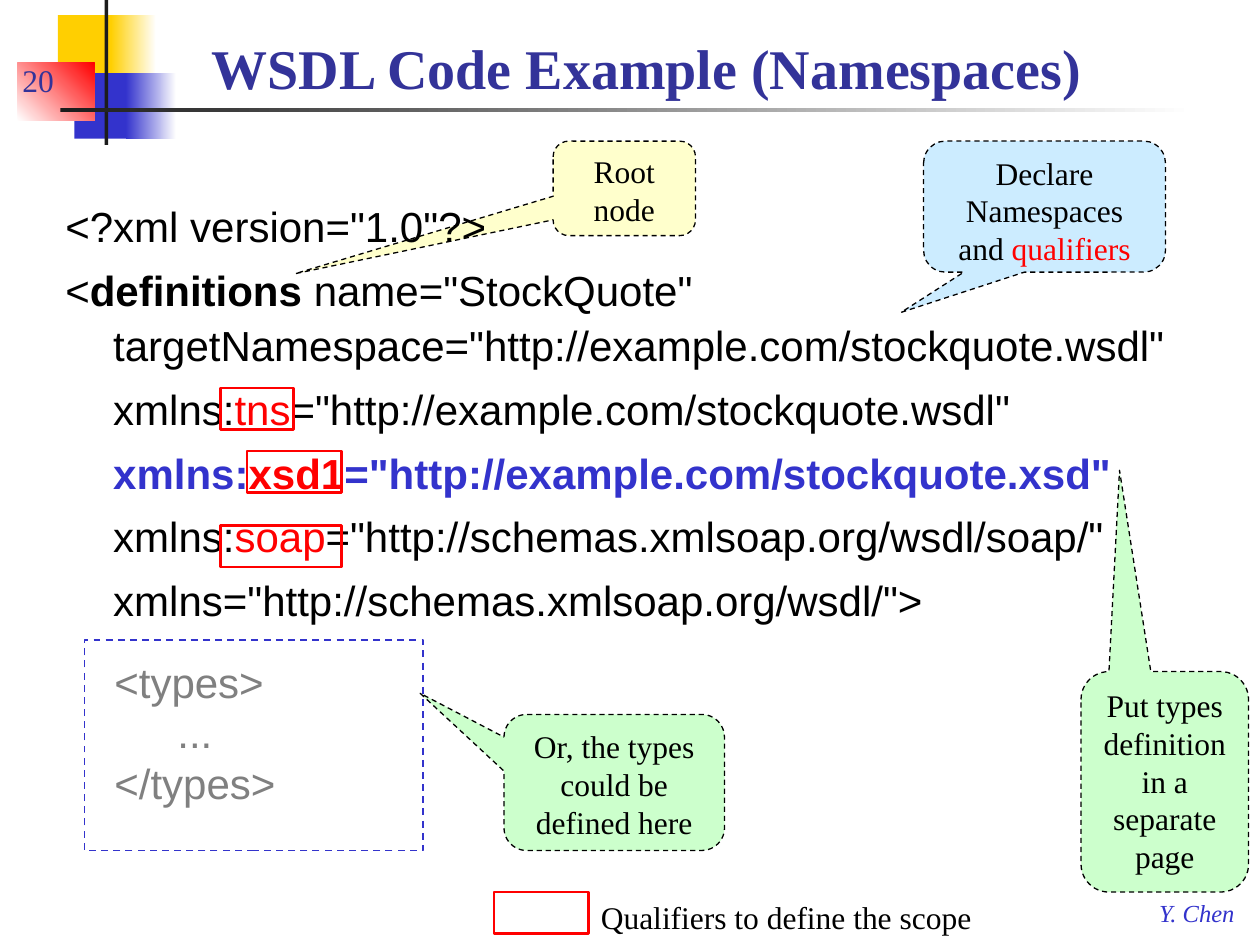
from pptx import Presentation
from pptx.dml.color import RGBColor as Rgb
from pptx.enum.dml import MSO_LINE as Dash
from pptx.enum.shapes import MSO_SHAPE as Kind
from pptx.enum.text import MSO_ANCHOR as Anchor, PP_ALIGN as Align
from pptx.util import Inches, Pt

INK = {
    "black": "000000", "dark": "1C1C1C", "white": "FFFFFF", "gray": "808080",
    "red": "FF0000", "gold": "FFCF01", "blue": "3333CC", "navy": "333399",
    "cream": "FFFFCC", "mint": "CCFFCC", "sky": "CCECFF",
}
SERIF, SANS = "Times New Roman", "Arial"


def tint(name):
    return Rgb.from_string(INK[name])


def add_runs(para, parts, size, face):
    """Add (text, colour, bold) parts to a paragraph."""
    for text, color, bold in parts:
        run = para.add_run()
        run.text = text
        font = run.font
        font.size, font.name, font.bold = Pt(size), face, bold
        font.color.rgb = tint(color)


def add_shape(shapes, box, fill=None, kind=Kind.RECTANGLE):
    shape = shapes.add_shape(kind, *map(Inches, box))
    shape.shadow.inherit = False
    shape.line.fill.background()
    if fill:
        shape.fill.solid()
        shape.fill.fore_color.rgb = tint(fill)
    else:
        shape.fill.background()
    return shape


def add_fade(shapes, box, start, end, angle=0):
    fill = add_shape(shapes, box).fill
    fill.gradient()
    fill.gradient_angle = angle
    for stop, name in zip(fill.gradient_stops, (start, end)):
        stop.color.rgb = tint(name)


def set_line(shape, color, width, dash=None):
    shape.line.color.rgb = tint(color)
    shape.line.width = Pt(width)
    shape.line.dash_style = dash


def add_frame(shapes, box, color="red", width=1.5, dash=None):
    set_line(add_shape(shapes, box), color, width, dash)


def add_callout(shapes, box, tip, fill, parts):
    """Add a dashed balloon; tip is its point, relative to the centre."""
    shape = add_shape(shapes, box, fill, Kind.ROUNDED_RECTANGULAR_CALLOUT)
    set_line(shape, "black", 0.75, Dash.DASH)
    for i, value in enumerate(tip):
        shape.adjustments[i] = value
    frame = shape.text_frame
    frame.word_wrap = True
    frame.vertical_anchor = Anchor.TOP
    para = frame.paragraphs[0]
    para.alignment = Align.CENTER
    add_runs(para, parts, 18, SERIF)


def add_text(shapes, box, lines, size, face, anchor=Anchor.TOP, wrap=True):
    """Add a text box; each line is a list of parts."""
    frame = shapes.add_textbox(*map(Inches, box)).text_frame
    frame.word_wrap = wrap
    frame.vertical_anchor = anchor
    for i, parts in enumerate(lines):
        para = frame.add_paragraph() if i else frame.paragraphs[0]
        add_runs(para, parts, size, face)
    return frame


def add_decor(shapes):
    add_shape(shapes, (0.46, 0.12, 0.48, 0.52), "gold")
    add_fade(shapes, (0.88, 0.12, 0.36, 0.52), "gold", "white")
    add_shape(shapes, (0.59, 0.58, 0.46, 0.52), "blue")
    add_fade(shapes, (1, 0.58, 0.4, 0.52), "blue", "white")
    add_fade(shapes, (0.14, 0.5, 0.61, 0.46), "white", "red", 45)
    add_shape(shapes, (0.83, 0, 0.03, 1.15), "dark")
    add_fade(shapes, (0.48, 0.86, 9, 0.03), "dark", "white")
    name = add_text(shapes, (9.1, 7.08, 0.82, 0.33),
                    [[("Y. Chen", "blue", False)]], 14, SERIF, wrap=False)
    name.paragraphs[0].runs[0].font.italic = True


def add_code(shapes):
    def space(name, link, color="black", bold=False):
        return [("\t", "black", False), ("xmlns:", color, bold),
                (name, "red", bold), (f'="{link}"', color, bold)]

    lines = [
        [('<?xml version="1.0"?>', "black", False)],
        [("<", "black", False), ("definitions", "black", True),
         (' name="StockQuote" '
          'targetNamespace="http://example.com/stockquote.wsdl"',
          "black", False)],
        space("tns", "http://example.com/stockquote.wsdl"),
        space("xsd1", "http://example.com/stockquote.xsd", "blue", True),
        space("soap", "http://schemas.xmlsoap.org/wsdl/soap/"),
        [('\txmlns="http://schemas.xmlsoap.org/wsdl/">', "black", False)],
    ]
    frame = add_text(shapes, (0.42, 1.5, 9.38, 3.58), lines, 24, SANS)
    for i, para in enumerate(frame.paragraphs):
        para.line_spacing = 1.1
        para.space_before = Pt(4.8 if i else 0)
        props = para._p.get_or_add_pPr()
        props.set("marL", str(Inches(0.38)))
        props.set("indent", str(Inches(-0.38)))


def add_types(shapes):
    group = shapes.add_group_shape().shapes
    add_frame(group, (0.67, 5.08, 2.69, 1.67), "blue", 1, Dash.DASH)
    lines = [[(text, "gray", False)]
             for text in ("<types>", "\t...", "</types>")]
    add_text(group, (0.81, 5.16, 2.34, 1.31), lines, 24, SANS)


def main():
    deck = Presentation()
    deck.slide_width, deck.slide_height = Inches(10), Inches(7.5)
    shapes = deck.slides.add_slide(deck.slide_layouts[6]).shapes

    add_decor(shapes)
    add_callout(shapes, (4.39, 1.12, 1.13, 0.75), (-2.312, 0.903), "cream",
                [("Root node", "black", False)])
    add_text(shapes, (0.08, 0.33, 0.67, 0.5), [[("20", "navy", False)]],
             18, SERIF, Anchor.BOTTOM)
    add_text(shapes, (1.58, 0.17, 8.33, 0.68),
             [[("WSDL Code Example (Namespaces)", "navy", True)]],
             32, SERIF, Anchor.BOTTOM)
    add_code(shapes)
    add_callout(shapes, (4, 5.67, 1.75, 1.08), (-0.88, -0.655), "mint",
                [("Or, the types could be defined here", "black", False)])
    add_callout(shapes, (8.58, 5.33, 1.33, 1.75), (-0.27, -1.413), "mint",
                [("Put types definition in a separate page", "black", False)])
    add_types(shapes)
    add_callout(shapes, (7.33, 1.12, 1.92, 1.04), (-0.593, 0.807), "sky",
                [("Declare Namespaces and ", "black", False),
                 ("qualifiers", "red", False)])
    for left, top, width in ((1.75, 3.08, 0.58), (1.96, 3.58, 0.75),
                             (1.75, 4.17, 0.96), (3.92, 7.08, 0.75)):
        add_frame(shapes, (left, top, width, 0.33))
    add_text(shapes, (4.67, 7.08, 3.15, 0.4),
             [[("Qualifiers to define the scope", "black", False)]],
             18, SERIF, wrap=False)
    deck.save("out.pptx")


if __name__ == "__main__":
    main()
